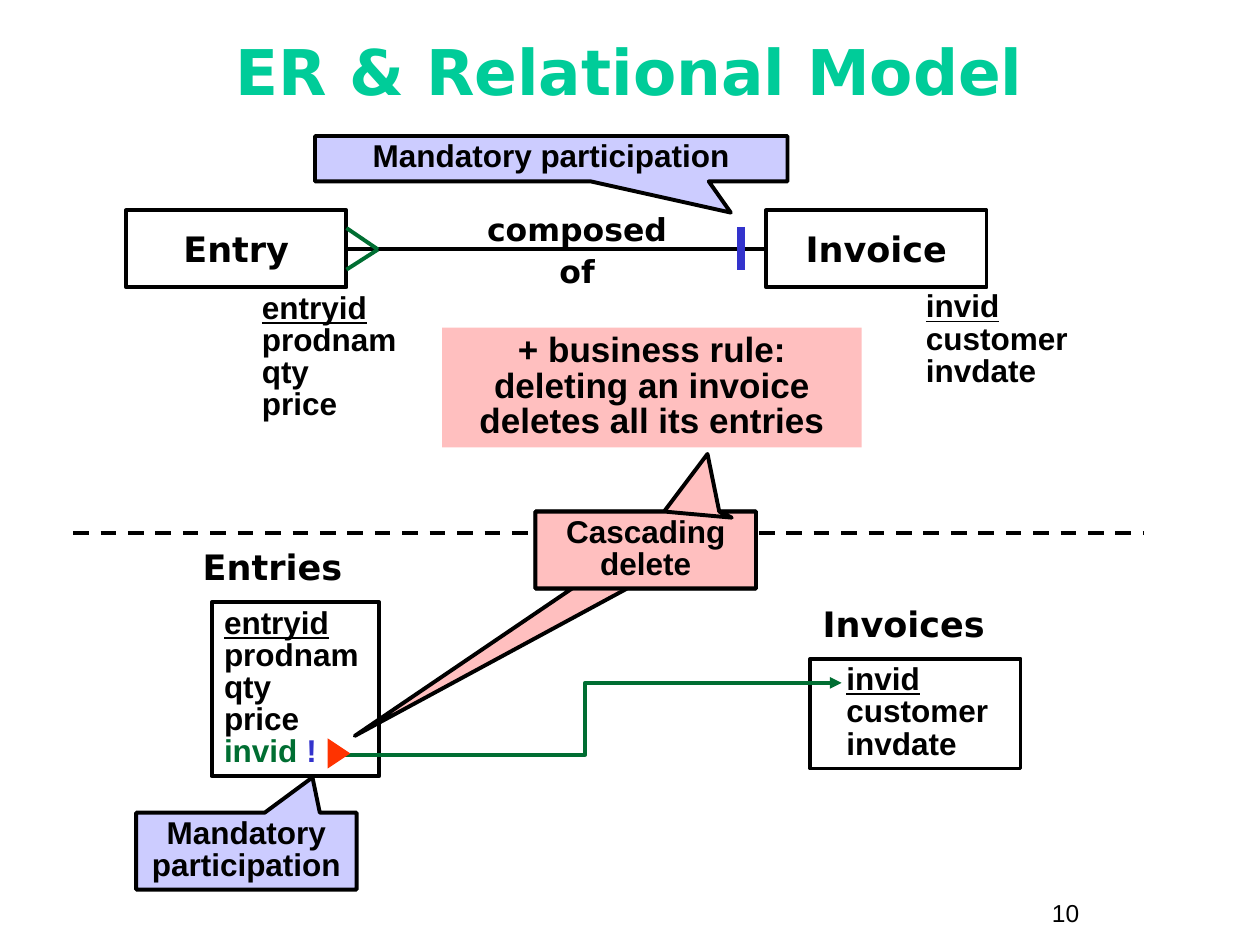
from dataclasses import dataclass

from lxml.etree import SubElement
from pptx import Presentation
from pptx.dml.color import RGBColor
from pptx.enum.dml import MSO_LINE_DASH_STYLE as DASH
from pptx.enum.shapes import MSO_CONNECTOR as CONNECTOR, MSO_SHAPE as SHAPE
from pptx.enum.text import MSO_ANCHOR as ANCHOR, PP_ALIGN as ALIGN
from pptx.oxml.ns import qn
from pptx.util import Inches, Pt

BLACK = RGBColor(0x00, 0x00, 0x00)
TEAL = RGBColor(0x00, 0xCC, 0x99)
GREEN = RGBColor(0x00, 0x6E, 0x32)
BLUE = RGBColor(0x33, 0x33, 0xCC)
RED = RGBColor(0xFF, 0x33, 0x00)
LAVENDER = RGBColor(0xCC, 0xCC, 0xFF)
PINK = RGBColor(0xFF, 0xBF, 0xBF)

HEADING_FONT = "DejaVu Sans"
BODY_FONT = "Arial"


@dataclass
class Run:
    text: str
    color: RGBColor = BLACK
    underline: bool = False


class DiagramSlide:
    """Holds the current slide and the shared drawing style."""

    line_width = 2.25
    tight = 0.85

    def __init__(self, slide):
        self.slide = slide

    def fill_text(self, shape, lines, font=BODY_FONT, size=18, bold=True, align=ALIGN.LEFT,
                  spacing=None, anchor=ANCHOR.TOP, wrap=True, indent=0):
        frame = shape.text_frame
        frame.word_wrap = wrap
        frame.vertical_anchor = anchor
        for index, runs in enumerate(lines):
            paragraph = frame.add_paragraph() if index else frame.paragraphs[0]
            paragraph.alignment = align
            paragraph.line_spacing = spacing
            if indent:
                paragraph._p.get_or_add_pPr().set("marL", str(Inches(indent)))
            for item in runs:
                run = paragraph.add_run()
                run.text = item.text
                run.font.name = font
                run.font.size = Pt(size)
                run.font.bold = bold
                run.font.underline = item.underline
                run.font.color.rgb = item.color

    def title(self, text, left, top, width, height):
        shape = self.slide.shapes.title
        shape.left, shape.top = Inches(left), Inches(top)
        shape.width, shape.height = Inches(width), Inches(height)
        self.fill_text(shape, [[Run(text, TEAL)]], HEADING_FONT, 36,
                       align=ALIGN.CENTER, anchor=ANCHOR.MIDDLE)

    def text(self, lines, left, top, width, height, **style):
        shape = self.slide.shapes.add_textbox(
            Inches(left), Inches(top), Inches(width), Inches(height))
        self.fill_text(shape, lines, **style)

    def box(self, left, top, width, height, kind=SHAPE.RECTANGLE,
            fill=None, outline=BLACK, lines=(), **style):
        shape = self.slide.shapes.add_shape(
            kind, Inches(left), Inches(top), Inches(width), Inches(height))
        shape.shadow.inherit = False
        if fill is None:
            shape.fill.background()
        else:
            shape.fill.solid()
            shape.fill.fore_color.rgb = fill
        if outline is None:
            shape.line.fill.background()
        else:
            shape.line.color.rgb = outline
            shape.line.width = Pt(self.line_width)
        if lines:
            self.fill_text(shape, lines, **style)
        return shape

    def entity(self, name, left):
        return self.box(left, 1.67, 1.75, 0.61, lines=[[Run(name)]], font=HEADING_FONT,
                        size=20, align=ALIGN.CENTER, anchor=ANCHOR.MIDDLE, wrap=False)

    def callout(self, text, left, top, width, height, fill, tip):
        shape = self.box(left, top, width, height, SHAPE.RECTANGULAR_CALLOUT, fill,
                         lines=[[Run(text)]] if text else (),
                         align=ALIGN.CENTER, spacing=self.tight)
        shape.adjustments[0], shape.adjustments[1] = tip

    def line(self, start, end, color=BLACK, width=None, kind=CONNECTOR.STRAIGHT,
             dash=None, arrow=False):
        connector = self.slide.shapes.add_connector(
            kind, *(Inches(value) for value in (*start, *end)))
        connector.line.color.rgb = color
        connector.line.width = Pt(width or self.line_width)
        if dash:
            connector.line.dash_style = dash
        if arrow:
            SubElement(connector.line._get_or_add_ln(), qn("a:tailEnd"), type="triangle")
        SubElement(connector._element.spPr, qn("a:effectLst"))
        return connector


def attributes(key, *others):
    """One paragraph per attribute, with the key underlined."""
    return [[Run(key, underline=True)]] + [[Run(name)] for name in others]


def main():
    presentation = Presentation()
    presentation.slide_width, presentation.slide_height = Inches(10), Inches(7.5)
    slide = presentation.slides.add_slide(presentation.slide_layouts[5])
    diagram = DiagramSlide(slide)
    tight = diagram.tight
    entry_attributes = attributes("entryid", "prodnam", "qty", "price")
    invoice_attributes = attributes("invid", "customer", "invdate")

    # Title and page number
    diagram.title("ER & Relational Model", 0.33, 0.1, 9.33, 0.92)
    diagram.text([[Run("10")]], 8.25, 7.08, 0.92, 0.34, size=14, bold=False)

    # Entities and their relationship
    invoice = diagram.entity("Invoice", 6.08)
    entry = diagram.entity("Entry", 1)
    relationship = diagram.line((6.08, 1.98), (2.75, 1.98))
    relationship.begin_connect(invoice, 1)
    relationship.end_connect(entry, 3)
    for foot in (1.81, 2.14):
        diagram.line((3, 1.98), (2.75, foot), GREEN)
    diagram.text([[Run("composed of")]], 3.75, 1.59, 1.66, 0.76,
                 font=HEADING_FONT, align=ALIGN.CENTER, spacing=1.1)
    diagram.text(invoice_attributes, 7.25, 2.27, 1.42, 0.87, spacing=tight)
    diagram.text(entry_attributes, 1.98, 2.28, 1.33, 1.12, spacing=tight)

    # Relational tables
    for name, left, top in (("Entries", 1.51, 4.28), ("Invoices", 6.43, 4.73)):
        diagram.text([[Run(name)]], left, top, 2.15, 0.44, font=HEADING_FONT, size=20)
    foreign_key = [Run("invid ", GREEN), Run("!", BLUE)]
    diagram.box(1.68, 4.78, 1.33, 1.38, lines=entry_attributes + [foreign_key],
                spacing=tight)
    diagram.box(6.43, 5.23, 1.67, 0.87, lines=invoice_attributes,
                spacing=tight, indent=0.19)

    # Foreign key reference and mandatory mark
    diagram.line((2.61, 5.99), (6.68, 5.42), GREEN, kind=CONNECTOR.ELBOW, arrow=True)
    diagram.line((5.88, 1.8), (5.88, 2.14), BLUE, width=4.5)
    marker = diagram.box(2.57, 5.89, 0.24, 0.18, SHAPE.ISOSCELES_TRIANGLE, RED, None)
    marker.rotation = 90

    # Mandatory participation callouts
    participation = "Mandatory participation"
    diagram.callout(participation, 2.5, 1.08, 3.75, 0.36, LAVENDER, (0.38, 1.19))
    diagram.callout(participation, 1.08, 6.45, 1.75, 0.61, LAVENDER, (0.3, -0.96))

    # Divider between the two models
    diagram.line((0.58, 4.23), (9.08, 4.23), dash=DASH.DASH)

    # Business rule and its cascading delete, pointing both ways
    diagram.box(3.51, 2.6, 3.33, 0.95, fill=PINK, outline=None, size=20,
                lines=[[Run("+ business rule: deleting an invoice deletes all its entries")]],
                align=ALIGN.CENTER, spacing=tight)
    for text, tip in (("", (-1.32, 2.42)), ("", (0.28, -1.25)),
                      ("Cascading delete", (0.39, -0.42))):
        diagram.callout(text, 4.25, 4.06, 1.75, 0.61, PINK, tip)

    presentation.save("out.pptx")


if __name__ == "__main__":
    main()
